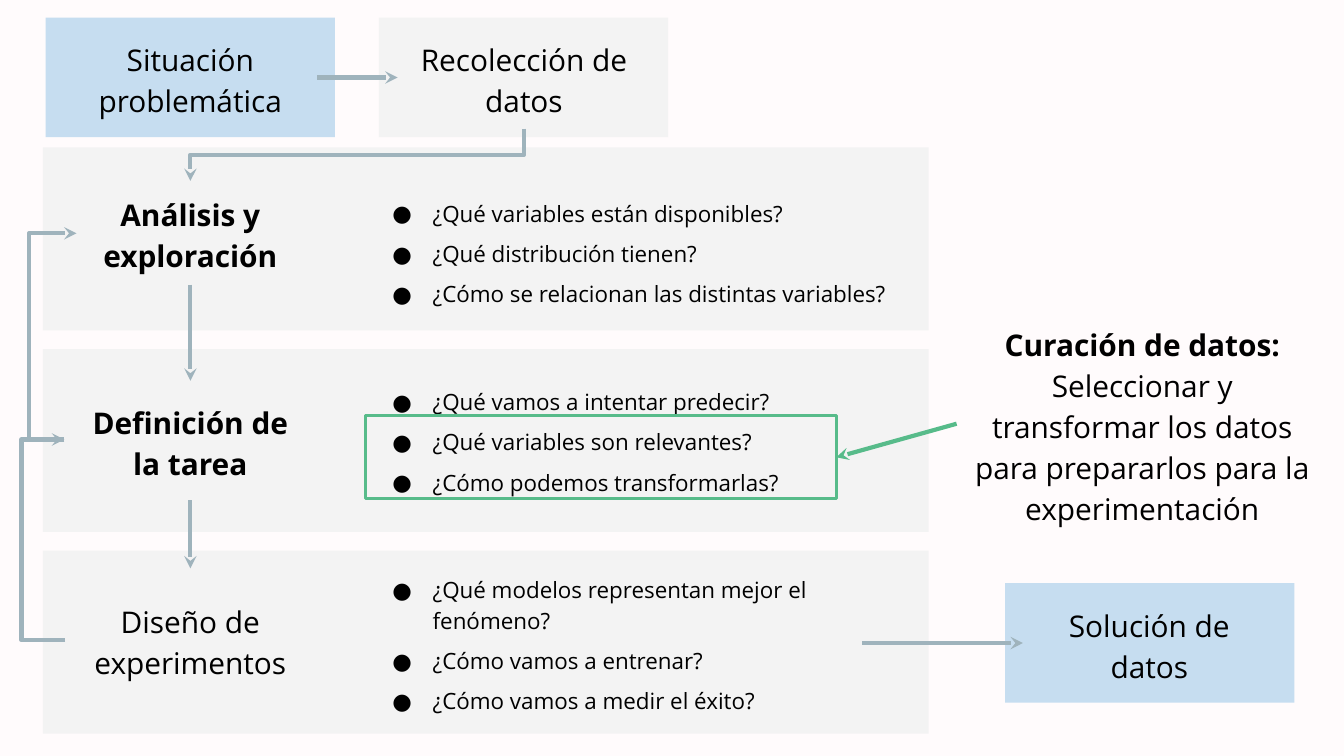
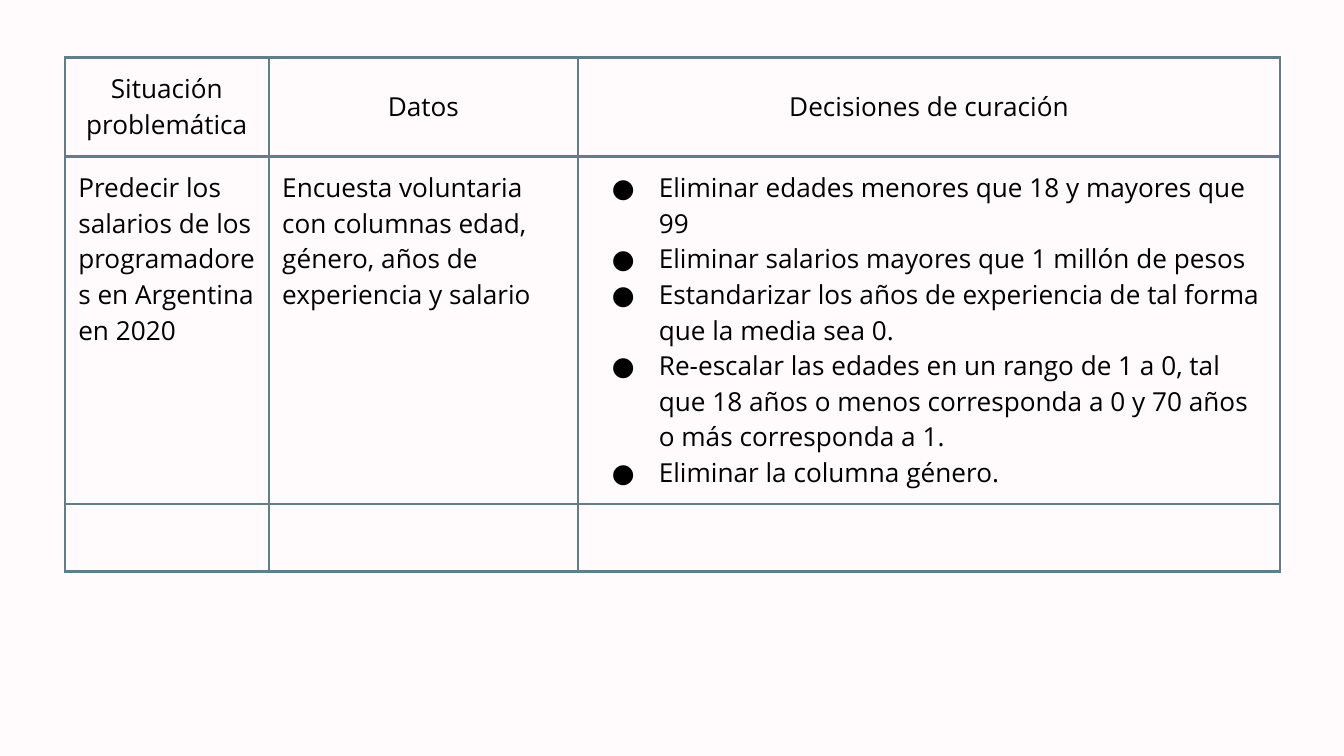
from dataclasses import dataclass
from lxml import etree
from pptx import Presentation
from pptx import util as u
from pptx.dml.color import RGBColor
from pptx.enum import shapes, text
from pptx.oxml import ns

Pt = u.Pt


@dataclass(frozen=True)
class Theme:
    font: str = "Open Sans"
    page: str = "FFFBFC"
    ink: str = "000000"
    blue: str = "C6DDF0"
    gray: str = "F3F3F3"
    arrow: str = "9FB3BC"
    green: str = "57BB8A"
    border: str = "607D8B"
    label: int = 16
    table: int = 14
    bullet: int = 12
    arrow_width: float = 2.25
    outline: float = 1.5
    inset: float = 7.2
    spacing: float = 1.15


T = Theme()

PANEL = dict(x=23, y=79, w=474.5, h=98, pitch=108)
BOXES = [
    (24.5, 9.5, T.blue),
    (203, 9.5, T.gray),
    (538.5, 312.5, T.blue),
]
BOX_SIZE = (155, 64)

LABELS = {
    "situation": (["Situación problemática"], (34, 3.5, 136, 76), 1),
    "collection": (["Recolección de datos"], (213, 14, 135.5, 55), 0),
    "analysis": (["Análisis y exploración"], (41, 97, 122, 55.5), 1),
    "task": (["Definición de la tarea"], (34, 204, 136, 64), 1),
    "design": (["Diseño de experimentos"], (34, 304.5, 136, 76), 0),
    "solution": (["Solución de datos"], (548, 306, 135.5, 77), 0),
    "curation": (["Curación de datos:",
                  "Seleccionar y transformar los datos para prepararlos para la experimentación"],
                 (512.5, 189, 199, 76), 1),
}
REGULAR = {"situation"}

QUESTIONS = [
    ((203, 94.5, 281, 80.5), ["¿Qué variables están disponibles?",
                              "¿Qué distribución tienen?",
                              "¿Cómo se relacionan las distintas variables?"]),
    ((203, 185, 294.5, 101.5), ["¿Qué vamos a intentar predecir?",
                                "¿Qué variables son relevantes?",
                                "¿Cómo podemos transformarlas?"]),
    ((203, 293.75, 259, 101.5), ["¿Qué modelos representan mejor el fenómeno?",
                                 "¿Cómo vamos a entrenar?",
                                 "¿Cómo vamos a medir el éxito?"]),
]
HIGHLIGHT = (196, 222.75, 252, 44.5)

ELBOWS = [
    ((34.5, 235.5), (41, 125), 15.5),
    ((35, 343), (34.5, 235.5), 12),
]

TABLE_AT = (34.75, 30.75)
COLUMNS = [109.25, 165.75, 376]
ROWS = [53, 186, 35]
HEADERS = ["Situación problemática", "Datos", "Decisiones de curación"]
CASE = [
    ["Predecir los salarios de los programadores en Argentina en 2020"],
    ["Encuesta voluntaria con columnas edad, género, años de experiencia y salario"],
    ["Eliminar edades menores que 18 y mayores que 99",
     "Eliminar salarios mayores que 1 millón de pesos",
     "Estandarizar los años de experiencia de tal forma que la media sea 0.",
     "Re-escalar las edades en un rango de 1 a 0, tal que 18 años o menos corresponda a 0 "
     "y 70 años o más corresponda a 1.",
     "Eliminar la columna género."],
]


def rgb(color):
    return RGBColor.from_string(color)


def pts(values):
    return [Pt(v) for v in values]


def sub(parent, tag, **attrs):
    return etree.SubElement(parent, ns.qn(tag), attrs)


def add_bullet(p, margin, indent):
    pPr = p._p.get_or_add_pPr()
    pPr.set("marL", str(int(Pt(margin))))
    pPr.set("indent", str(int(Pt(indent))))
    sub(sub(pPr, "a:buClr"), "a:srgbClr", val=T.ink)
    sub(pPr, "a:buFont", typeface=T.font)
    sub(pPr, "a:buChar", char="●")


def write(tf, lines, size, align, spacing=1.0, bold_lines=0, bullet=None, gap=0):
    tf.text = "\n".join(lines)
    tf.word_wrap = True
    for i, p in enumerate(tf.paragraphs):
        if bullet:
            add_bullet(p, *bullet)
        p.alignment = align
        p.line_spacing = spacing
        p.space_before = Pt(gap if i else 0)
        p.space_after = Pt(gap if i == len(lines) - 1 else 0)
        for r in p.runs:
            r.font.name = T.font
            r.font.size = Pt(size)
            r.font.bold = i < bold_lines
            r.font.color.rgb = rgb(T.ink)


def frame(tf):
    tf.auto_size = text.MSO_AUTO_SIZE.NONE
    tf.vertical_anchor = text.MSO_ANCHOR.MIDDLE
    tf.margin_left = tf.margin_top = tf.margin_right = tf.margin_bottom = Pt(T.inset)


def add_rect(s, box, fill=None, line=None):
    sp = s.shapes.add_shape(shapes.MSO_SHAPE.RECTANGLE, *pts(box))
    sp.shadow.inherit = False
    if fill:
        sp.fill.solid()
        sp.fill.fore_color.rgb = rgb(fill)
    else:
        sp.fill.background()
    if line:
        sp.line.color.rgb = rgb(line)
        sp.line.width = Pt(T.outline)
    else:
        sp.line.fill.background()
    return sp


def add_label(s, lines, box, bold_lines):
    sp = s.shapes.add_textbox(*pts(box))
    frame(sp.text_frame)
    write(sp.text_frame, lines, T.label, text.PP_ALIGN.CENTER, T.spacing, bold_lines)
    return sp


def add_arrow(s, start, end, kind=shapes.MSO_CONNECTOR.STRAIGHT, color=T.arrow):
    cx = s.shapes.add_connector(kind, *pts(start + end))
    cx.line.color.rgb = rgb(color)
    cx.line.width = Pt(T.arrow_width)
    sub(cx.line._get_or_add_ln(), "a:tailEnd", type="stealth")
    sub(cx._element.spPr, "a:effectLst")
    return cx


def join(s, a, side_a, b, side_b, color=T.arrow):
    cx = add_arrow(s, (0, 0), (0, 0), color=color)
    cx.begin_connect(a, side_a)
    cx.end_connect(b, side_b)


def set_bend(cx, ratio):
    geom = cx._element.spPr.find(ns.qn("a:prstGeom"))
    av = geom.find(ns.qn("a:avLst"))
    if av is None:
        av = sub(geom, "a:avLst")
    sub(av, "a:gd", name="adj1", fmla=f"val {round(ratio * 100000)}")


def add_side_elbow(s, start, end, bend_x):
    cx = add_arrow(s, start, end, shapes.MSO_CONNECTOR.ELBOW)
    set_bend(cx, (bend_x - start[0]) / (end[0] - start[0]))


def add_down_elbow(s, start, end):
    (x1, y1), (x2, y2) = start, end
    w, h = y2 - y1, x1 - x2
    mx, my = (x1 + x2) / 2, (y1 + y2) / 2
    cx = add_arrow(s, (mx - w / 2, my - h / 2), (mx + w / 2, my + h / 2),
                   shapes.MSO_CONNECTOR.ELBOW)
    cx._element.spPr.find(ns.qn("a:xfrm")).set("rot", "5400000")
    set_bend(cx, 0.5)


def build_process(prs):
    s = prs.slides.add_slide(prs.slide_layouts[4])
    title, *bodies = list(s.placeholders)
    for ph in [title] + bodies[len(QUESTIONS):]:
        ph._element.getparent().remove(ph._element)

    for i in range(len(QUESTIONS)):
        add_rect(s, (PANEL["x"], PANEL["y"] + i * PANEL["pitch"], PANEL["w"], PANEL["h"]), T.gray)
    for x, y, fill in BOXES:
        add_rect(s, (x, y) + BOX_SIZE, fill)

    for ph, (box, lines) in zip(bodies, QUESTIONS):
        s.shapes._spTree.append(ph._element)
        ph.left, ph.top, ph.width, ph.height = pts(box)
        frame(ph.text_frame)
        write(ph.text_frame, lines, T.bullet, text.PP_ALIGN.LEFT, T.spacing,
              bullet=(21.6, -23.75), gap=5)

    label = {}
    for name, (lines, box, bold_lines) in LABELS.items():
        label[name] = add_label(s, lines, box, 0 if name in REGULAR else bold_lines)
    highlight = add_rect(s, HIGHLIGHT, line=T.green)

    join(s, label["situation"], 3, label["collection"], 1)
    join(s, label["analysis"], 2, label["task"], 0)
    join(s, label["task"], 2, label["design"], 0)
    join(s, bodies[2], 3, label["solution"], 1)
    join(s, label["curation"], 1, highlight, 3, T.green)
    add_down_elbow(s, (280.75, 69), (102, 97))
    for start, end, bend_x in ELBOWS:
        add_side_elbow(s, start, end, bend_x)


def style_cell(cell):
    cell.margin_left = cell.margin_top = cell.margin_right = cell.margin_bottom = Pt(T.inset)
    tcPr = cell._tc.get_or_add_tcPr()
    for side in ("a:lnL", "a:lnR", "a:lnT", "a:lnB"):
        ln = sub(tcPr, side, w=str(int(Pt(T.outline))))
        sub(sub(ln, "a:solidFill"), "a:srgbClr", val=T.border)
    cell.fill.background()


def build_decisions(prs):
    s = prs.slides.add_slide(prs.slide_layouts[6])
    size = (sum(COLUMNS), sum(ROWS))
    tbl = s.shapes.add_table(len(ROWS), len(COLUMNS), *pts(TABLE_AT + size)).table
    tbl.first_row = tbl.horz_banding = False
    for col, w in zip(tbl.columns, COLUMNS):
        col.width = Pt(w)
    for row, h in zip(tbl.rows, ROWS):
        row.height = Pt(h)
    for cell in tbl.iter_cells():
        style_cell(cell)
    for j, (header, lines) in enumerate(zip(HEADERS, CASE)):
        write(tbl.cell(0, j).text_frame, [header], T.table, text.PP_ALIGN.CENTER,
              1.5 if j else 1.0)
        write(tbl.cell(1, j).text_frame, lines, T.table, text.PP_ALIGN.LEFT,
              bullet=(36, -25.2) if len(lines) > 1 else None)


def main():
    prs = Presentation()
    prs.slide_width, prs.slide_height = Pt(720), Pt(405)
    fill = prs.slide_master.background.fill
    fill.solid()
    fill.fore_color.rgb = rgb(T.page)
    build_process(prs)
    build_decisions(prs)
    prs.save("out.pptx")


if __name__ == "__main__":
    main()
